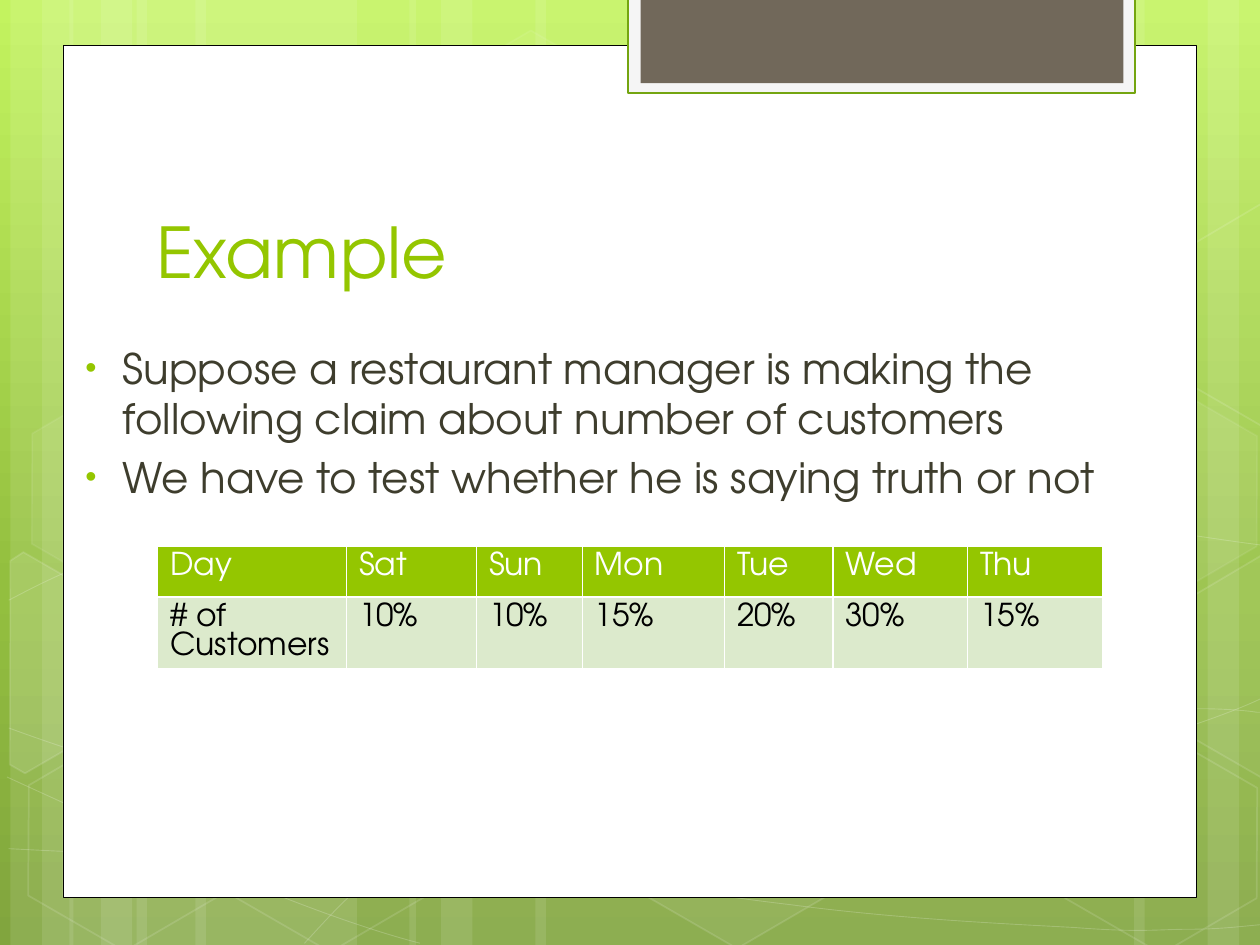
import copy
import math
from lxml import etree
from pptx import Presentation
from pptx.dml.color import RGBColor
from pptx.enum import shapes, text
from pptx.oxml import ns
from pptx.util import Pt

COLORS = {"white": "FFFFFF", "black": "000000", "green": "94C600", "text": "3E3D2D",
          "mint": "DCEACC", "tab": "F5F5F5", "tab_line": "74A510", "taupe": "71685A"}
RGB = {name: RGBColor.from_string(value) for name, value in COLORS.items()}
BACKGROUND = [(0, "C3F35F"), (0.62, "93BF3F"), (1, "81A53E")]
FONT = "TeX Gyre Adventor"


def paint(shape, fill=None, line=None, width=1, fill_alpha=100, line_alpha=100):
    """Set fill and line, each with an opacity in percent."""
    shape.shadow.inherit = False
    for target, color, alpha in ((shape.fill, fill, fill_alpha), (shape.line.fill, line, line_alpha)):
        if color is None:
            target.background()
            continue
        target.solid()
        target.fore_color.rgb = RGB[color]
        if alpha < 100:
            owner = shape._element.spPr if target is shape.fill else shape.line._ln
            node = owner.find(ns.qn("a:solidFill"))[0]
            etree.SubElement(node, ns.qn("a:alpha"), val=str(alpha * 1000))
    if line:
        shape.line.width = Pt(width)


def outline(page, points, closed):
    """Draw a freeform through points given in points."""
    builder = page.shapes.build_freeform(*points[0], scale=Pt(1))
    builder.add_line_segments(points[1:], close=closed)
    return builder.convert_to_shape()


deck = Presentation()
deck.slide_width, deck.slide_height = Pt(720), Pt(540)
page = deck.slides.add_slide(deck.slide_layouts[1])

# Background gradient, top to bottom
fill = page.background.fill
fill.gradient()
fill.gradient_angle = 270
stop_list = page._element.find(".//" + ns.qn("a:gsLst"))
stop_list.append(copy.deepcopy(stop_list[0]))
for stop, (position, color) in zip(fill.gradient_stops, BACKGROUND):
    stop.position = position
    stop.color.rgb = RGBColor.from_string(color)

# Translucent vertical stripes: left, width, rotation
stripes = [(78, 126, 0), (6, 36, 0), (24, 60, 0), (111.6, 126, 0), (39.6, 36, 0), (57.6, 60, 0),
           (528, 126, 180), (690, 36, 180), (648, 60, 180),
           (306, 222, 0), (234, 36, 0), (252, 60, 0)]
for left, width, rotation in stripes:
    stripe = page.shapes.add_shape(shapes.MSO_SHAPE.RECTANGLE, Pt(left), 0, Pt(width), Pt(540))
    stripe.rotation = rotation
    paint(stripe, "white", fill_alpha=10)

# Sweeping curves: a start point, then three points for each Bezier piece
curves = [
    [(5, 485), (44, 487), (83, 489), (137, 488), (191, 487), (258, 486), (330, 479),
     (402, 472), (504, 458), (570, 444), (636, 431), (703, 409), (725, 397)],
    [(5, 343), (26, 332), (47, 321), (87, 310), (128, 300), (186, 284), (250, 279),
     (314, 274), (392, 273), (471, 279), (550, 284), (682, 307), (725, 312)],
    [(4, 444), (91, 484), (178, 523), (240, 539)],
    [(5, 416), (27, 424), (50, 432), (92, 444), (134, 454), (197, 472), (257, 485),
     (317, 497), (392, 510), (452, 517), (512, 525), (576, 528), (614, 530),
     (652, 533), (662, 531), (680, 531), (699, 531), (712, 529), (725, 528)],
    [(174, 539), (187, 525), (200, 510), (217, 498), (235, 485), (259, 470), (279, 460),
     (300, 450), (312, 446), (338, 438), (364, 431), (413, 421), (438, 416),
     (464, 411), (467, 411), (490, 410), (512, 408), (547, 405), (572, 405),
     (597, 404), (638, 405), (638, 405), (654, 405), (670, 405), (686, 405),
     (699, 405), (712, 406), (718, 407), (722, 407), (722, 407), (724, 407)],
]
for points in curves:
    curve = outline(page, points, False)
    segments = curve._element.findall(".//" + ns.qn("a:lnTo"))
    for first in range(0, len(segments), 3):
        bezier = etree.SubElement(segments[first].getparent(), ns.qn("a:cubicBezTo"))
        for segment in segments[first:first + 3]:
            bezier.append(segment[0])
            segment.getparent().remove(segment)
    paint(curve, line="white", width=0.5, line_alpha=20)

# Tilted hexagons: left, top, fill opacity, line opacity
hexagons = [(240.5, 26, 4, 8), (358, 424, 6, 12), (8, 425.5, 0, 12), (10, 224.5, 7, 8),
            (125.5, 426, 0, 12), (542, 326, 10, 12), (600.5, 427, 0, 12), (600.5, 226, 7, 8)]
for left, top, fill_alpha, line_alpha in hexagons:
    hexagon = page.shapes.add_shape(shapes.MSO_SHAPE.HEXAGON, Pt(left), Pt(top), Pt(126), Pt(109.5))
    hexagon.adjustments[0] = 0.285
    hexagon.rotation = 30
    paint(hexagon, "white" if fill_alpha else None, "white", 1, fill_alpha, line_alpha)

# Hexagons cut by the slide edge: centre, fill opacity, corners as seen on the page
right_cut = [(666.7, 349.2), (720.7, 317.5), (726.5, 321.1), (726.5, 441.4), (721.4, 444.2), (666.7, 412.6)]
cut_hexagons = [
    ((25.9, 385.2), 10, [(5.8, 320.4), (13.7, 315.4), (69.1, 347), (68.4, 410.4), (14.4, 442.1), (5.8, 437)]),
    ((709.2, 374.4), 4, right_cut),
    ((709.2, 173.5), 0, [(x, y - 200.9) for x, y in right_cut]),
]
cos, sin = math.cos(math.radians(30)), math.sin(math.radians(30))
for (mid_x, mid_y), fill_alpha, corners in cut_hexagons:
    upright = [(mid_x + (x - mid_x) * cos + (y - mid_y) * sin,
                mid_y - (x - mid_x) * sin + (y - mid_y) * cos) for x, y in corners]
    cut = outline(page, upright, True)
    cut.rotation = 30
    paint(cut, "white" if fill_alpha else None, "white", 1, fill_alpha, 12)

# White panel and the tab at its top
panels = [(36, 26, 648, 487, "white", "black", 0.5),
          (359, -1.5, 289.5, 54.5, "tab", "tab_line", 1.25),
          (366, -1.5, 276, 49, "taupe", None, 0)]
for left, top, width, height, color, line, weight in panels:
    panel = page.shapes.add_shape(shapes.MSO_SHAPE.RECTANGLE, Pt(left), Pt(top), Pt(width), Pt(height))
    paint(panel, color, line, weight)

# Title and list, brought in front of the panel
title, body = page.placeholders
placements = [(title, (82, 80.5, 553, 90), 40, "green", ["Example"]),
              (body, (36, 192, 648, 96), 24, "text",
               ["Suppose a restaurant manager is making the following claim about number of customers",
                "We have to test whether he is saying truth or not"])]
for box, place, size, color, lines in placements:
    page.shapes._spTree.append(box._element)
    box.left, box.top, box.width, box.height = map(Pt, place)
    frame = box.text_frame
    frame.text = "\n".join(lines)
    frame.auto_size = text.MSO_AUTO_SIZE.NONE
    frame.word_wrap = True
    for para in frame.paragraphs:
        para.alignment = text.PP_ALIGN.LEFT
        para.font.name, para.font.size = FONT, Pt(size)
        para.font.color.rgb = RGB[color]
title.text_frame.vertical_anchor = text.MSO_ANCHOR.BOTTOM
for para in body.text_frame.paragraphs:
    props = para._p.get_or_add_pPr()
    props.set("marL", str(Pt(27)))
    props.set("indent", str(Pt(-21.5)))
    bullet_color = etree.Element(ns.qn("a:buClr"))
    etree.SubElement(bullet_color, ns.qn("a:srgbClr"), val=COLORS["green"])
    bullet = [bullet_color,
              etree.Element(ns.qn("a:buSzPct"), val="76000"),
              etree.Element(ns.qn("a:buFont"), typeface="Arial"),
              etree.Element(ns.qn("a:buChar"), char="•")]
    for position, node in enumerate(bullet):
        props.insert(position, node)

# Table of customers by day
rows = [["Day", "Sat", "Sun", "Mon", "Tue", "Wed", "Thu"],
        ["# of Customers", "10%", "10%", "15%", "20%", "30%", "15%"]]
widths = [108, 74.25, 60.5, 81.25, 62, 77, 77]
table = page.shapes.add_table(2, 7, Pt(90), Pt(312), Pt(540), Pt(70)).table
for column, width in zip(table.columns, widths):
    column.width = Pt(width)
for row, height in zip(table.rows, (29, 41)):
    row.height = Pt(height)
for r, values in enumerate(rows):
    for c, value in enumerate(values):
        cell = table.cell(r, c)
        cell.text = value
        para = cell.text_frame.paragraphs[0]
        para.font.name, para.font.size, para.font.bold = FONT, Pt(18), False
        para.font.color.rgb = RGB["black" if r else "white"]
        cell.fill.solid()
        cell.fill.fore_color.rgb = RGB["mint" if r else "green"]
        for position, side in enumerate(("lnL", "lnR", "lnT", "lnB")):
            border = etree.Element(ns.qn("a:" + side), w=str(Pt(1)))
            solid = etree.SubElement(border, ns.qn("a:solidFill"))
            etree.SubElement(solid, ns.qn("a:srgbClr"), val=COLORS["white"])
            cell._tc.tcPr.insert(position, border)

deck.save("out.pptx")
